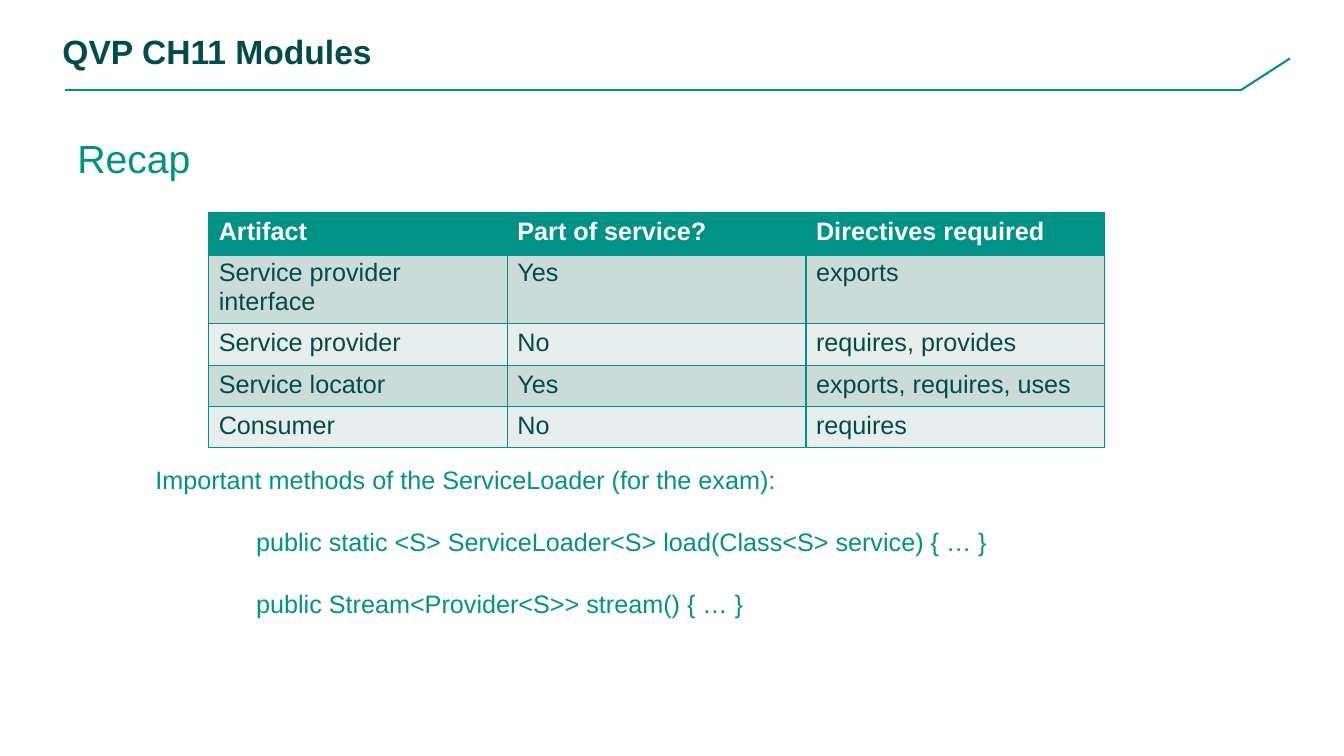
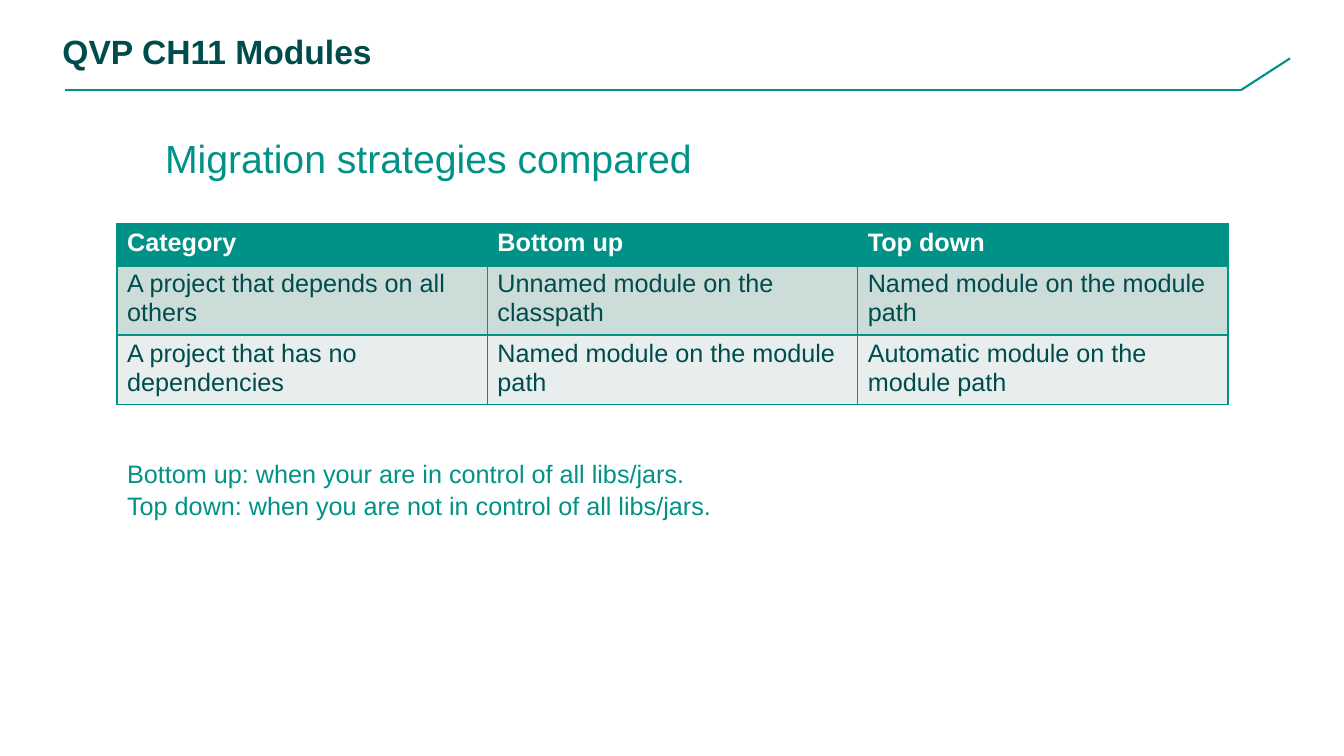
from lxml.etree import SubElement
from pptx import Presentation
from pptx.dml.color import RGBColor
from pptx.enum.shapes import MSO_CONNECTOR
from pptx.enum.text import MSO_ANCHOR, MSO_AUTO_SIZE, PP_ALIGN
from pptx.oxml.ns import qn
from pptx.util import Cm, Pt

TEAL = RGBColor(0x00, 0x92, 0x86)
DARK_TEAL = RGBColor(0x00, 0x4C, 0x4C)
WHITE = RGBColor(0xFF, 0xFF, 0xFF)
BAND_DARK = RGBColor(0xCC, 0xDC, 0xD9)
BAND_LIGHT = RGBColor(0xE7, 0xEE, 0xED)

TITLE = {"size": Pt(24), "bold": True, "color": DARK_TEAL}
HEADING = {"size": Pt(28), "bold": False, "color": TEAL}
NOTE = {"size": Pt(18), "bold": False, "color": TEAL}
TABLE_HEAD = {"size": Pt(18), "bold": True, "color": WHITE}
TABLE_BODY = {"size": Pt(18), "bold": False, "color": DARK_TEAL}

ONE_LINE = 1.04
TWO_LINES = 1.76
CODE_INDENT = 2.54


def set_attributes(target, values):
    for name, value in values.items():
        setattr(target, name, value)


class Deck:
    font_name = "Arial"
    rule_points = [(1.63, 2.26), (31.29, 2.26), (32.51, 1.47)]

    def __init__(self):
        self.presentation = Presentation()
        set_attributes(self.presentation,
                       {"slide_width": Cm(33.87), "slide_height": Cm(19.05)})
        self.slide = None

    def format_text(self, paragraph, style):
        font = paragraph.font
        set_attributes(font, {"name": self.font_name, "size": style["size"],
                              "bold": style["bold"]})
        font.color.rgb = style["color"]

    def place(self, shape, box, anchor=MSO_ANCHOR.TOP):
        names = ("left", "top", "width", "height")
        set_attributes(shape, {name: Cm(value) for name, value in zip(names, box)})
        set_attributes(shape.text_frame,
                       {"word_wrap": True, "auto_size": MSO_AUTO_SIZE.NONE,
                        "vertical_anchor": anchor})

    def add_slide(self, title):
        self.slide = self.presentation.slides.add_slide(
            self.presentation.slide_layouts[1])
        self.add_rule()
        shape = self.slide.shapes.title
        self.place(shape, (1.32, 0.53, 31, 1.4), MSO_ANCHOR.BOTTOM)
        shape.text_frame.text = title
        paragraph = shape.text_frame.paragraphs[0]
        set_attributes(paragraph, {"alignment": PP_ALIGN.LEFT, "line_spacing": Pt(18.8)})
        self.format_text(paragraph, TITLE)

    def add_rule(self):
        for start, end in zip(self.rule_points, self.rule_points[1:]):
            connector = self.slide.shapes.add_connector(
                MSO_CONNECTOR.STRAIGHT, *map(Cm, start + end))
            connector.line.color.rgb = TEAL
            connector.line.width = Pt(1.5)
            SubElement(connector._element.spPr, qn("a:effectLst"))

    def add_heading(self, text, left, width):
        box = (left, 3.25, width, 1.45)
        shape = self.slide.shapes.add_textbox(*map(Cm, box))
        self.place(shape, box)
        shape.text_frame.text = text
        self.format_text(shape.text_frame.paragraphs[0], HEADING)

    def add_notes_list(self, box, lines, gap):
        shape = self.slide.placeholders[1]
        self.place(shape, box)
        frame = shape.text_frame
        frame.text = "\n".join(text for text, indent in lines)
        for index, (paragraph, (text, indent)) in enumerate(zip(frame.paragraphs, lines)):
            properties = paragraph._p.get_or_add_pPr()
            properties.set("marL", str(Cm(indent)))
            properties.set("indent", "0")
            SubElement(properties, qn("a:buNone"))
            paragraph.space_before = Pt(gap if index else 0)
            self.format_text(paragraph, NOTE)

    def add_border(self, cell, side, width):
        properties = cell._tc.get_or_add_tcPr()
        line = SubElement(properties, qn(f"a:ln{side}"), w=str(Pt(width)))
        fill = SubElement(line, qn("a:solidFill"))
        SubElement(fill, qn("a:srgbClr"), val=str(TEAL))

    def add_table(self, left, top, width, heights, rows):
        table = self.slide.shapes.add_table(
            len(rows), len(rows[0]),
            *map(Cm, (left, top, width, sum(heights)))).table
        for row, height in zip(table.rows, heights):
            row.height = Cm(height)
        for row_index, texts in enumerate(rows):
            is_head = row_index == 0
            band = BAND_DARK if row_index % 2 else BAND_LIGHT
            for column_index, text in enumerate(texts):
                cell = table.cell(row_index, column_index)
                cell.text = text
                self.format_text(cell.text_frame.paragraphs[0],
                                 TABLE_HEAD if is_head else TABLE_BODY)
                for side in "LRTB":
                    thick = (side == "B" and is_head) or (side == "T" and row_index == 1)
                    self.add_border(cell, side, 3 if thick else 1)
                cell.fill.solid()
                cell.fill.fore_color.rgb = TEAL if is_head else band


def main():
    deck = Deck()

    deck.add_slide("QVP CH11 Modules")
    deck.add_heading("Recap", 1.7, 29.69)
    deck.add_table(5.26, 5.36, 22.58,
                   [ONE_LINE, TWO_LINES, ONE_LINE, ONE_LINE, ONE_LINE], [
                       ("Artifact", "Part of service?", "Directives required"),
                       ("Service provider interface", "Yes", "exports"),
                       ("Service provider", "No", "requires, provides"),
                       ("Service locator", "Yes", "exports, requires, uses"),
                       ("Consumer", "No", "requires"),
                   ])
    deck.add_notes_list((3.66, 11.58, 25.78, 4.11), [
        ("Important methods of the ServiceLoader (for the exam):", 0),
        ("public static <S> ServiceLoader<S> load(Class<S> service) { … }", CODE_INDENT),
        ("public Stream<Provider<S>> stream() { … }", CODE_INDENT),
    ], 22.5)

    deck.add_slide("QVP CH11 Modules")
    deck.add_heading("Migration strategies compared", 3.91, 25.02)
    deck.add_table(2.95, 5.64, 28, [ONE_LINE, TWO_LINES, TWO_LINES], [
        ("Category", "Bottom up", "Top down"),
        ("A project that depends on all others", "Unnamed module on the classpath",
         "Named module on the module path"),
        ("A project that has no dependencies", "Named module on the module path",
         "Automatic module on the module path"),
    ])
    deck.add_notes_list((2.95, 11.43, 28, 1.8), [
        ("Bottom up: when your are in control of all libs/jars.", 0),
        ("Top down: when you are not in control of all libs/jars.", 0),
    ], 1)

    deck.presentation.save("out.pptx")


if __name__ == "__main__":
    main()
